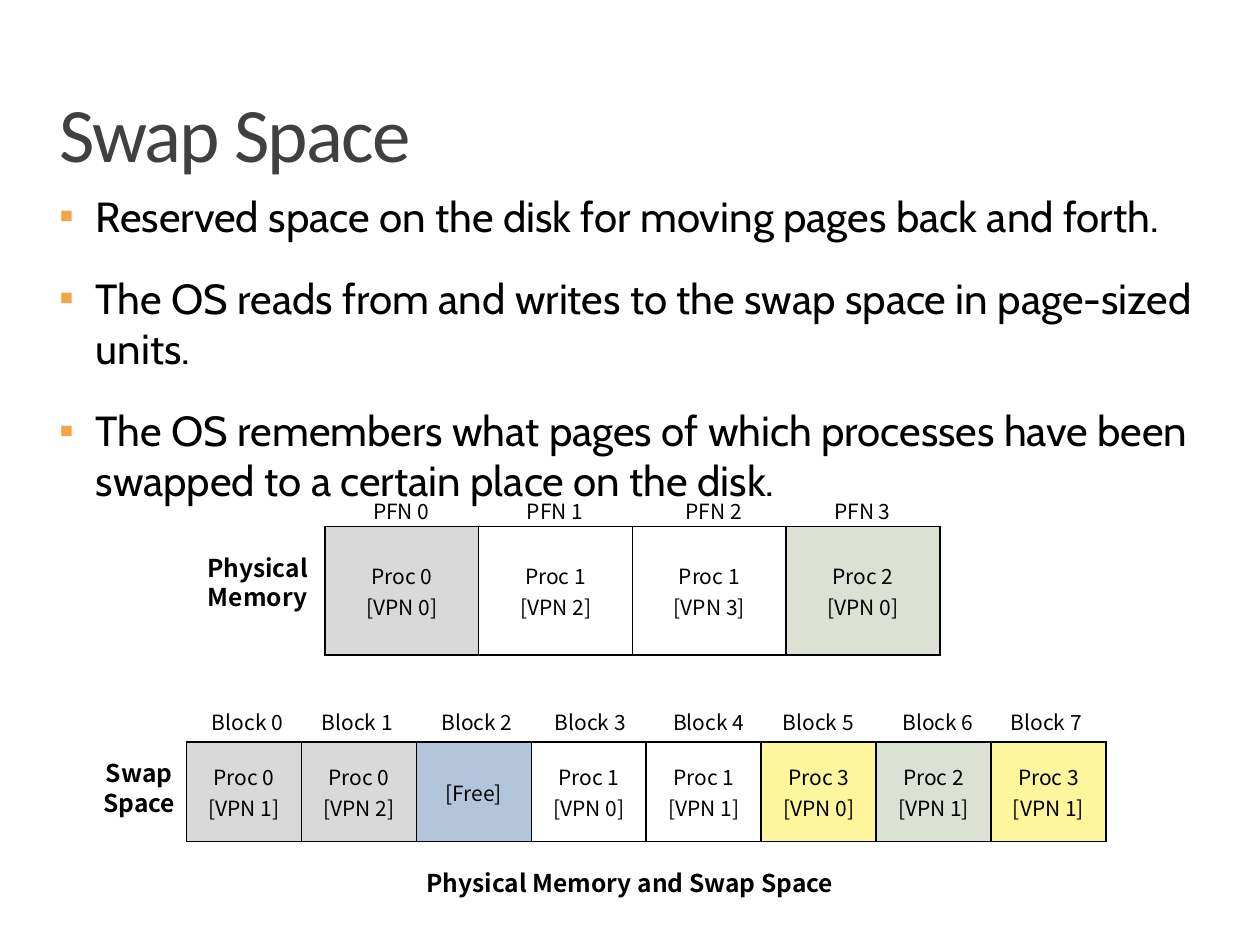
import dataclasses

import lxml.etree
import pptx
import pptx.dml.color
import pptx.enum.text
import pptx.oxml.ns
import pptx.util

PX = 9144  # EMU in one px, at 100 px to the inch
LABEL_WIDTH = 177
LABEL_HEIGHT = 30
SIDE_HEIGHT = 57


@dataclasses.dataclass(frozen=True)
class Theme:
    title: str = "404040"
    ink: str = "000000"
    bullet: str = "F3A447"
    process_0: str = "D9D9D9"
    process_2: str = "DBE1D3"
    process_3: str = "FDF69C"
    free: str = "B3C5DA"
    title_font: str = "Calibri"
    body_font: str = "Cabin"
    diagram_font: str = "Noto Sans CJK KR"
    title_size: int = 44
    body_size: int = 24
    heading_size: int = 14
    label_size: int = 12


THEME = Theme()
PROCESS_FILLS = {
    "Proc 0": THEME.process_0,
    "Proc 2": THEME.process_2,
    "Proc 3": THEME.process_3,
    "[Free]": THEME.free,
}

TITLE = {"name": THEME.title_font, "size": THEME.title_size, "color": THEME.title}
BODY = {"name": THEME.body_font, "size": THEME.body_size, "color": THEME.ink}
LABEL = {"name": THEME.diagram_font, "size": THEME.label_size, "color": THEME.ink}
HEADING = {**LABEL, "size": THEME.heading_size, "bold": True}


def format_font(font, values):
    for name, value in values.items():
        if name == "color":
            font.color.rgb = pptx.dml.color.RGBColor.from_string(value)
        else:
            setattr(font, name, pptx.util.Pt(value) if name == "size" else value)


def write_lines(frame, lines, values, alignment):
    """Write one formatted paragraph for each line and return them."""
    frame.text = "\n".join(lines)
    for paragraph in frame.paragraphs:
        paragraph.alignment = alignment
        for run in paragraph.runs:
            format_font(run.font, values)
    return frame.paragraphs


def place(shape, box):
    for name, value in zip(("left", "top", "width", "height"), box):
        setattr(shape, name, value * PX)


def set_margins(frame, top=0):
    margins = {"margin_left": 0, "margin_top": top, "margin_right": 0, "margin_bottom": 0}
    for name, value in margins.items():
        setattr(frame, name, value * PX)


def add_title(slide, box, text):
    shape = slide.shapes.title
    place(shape, box)
    frame = shape.text_frame
    set_margins(frame, top=4)
    frame.auto_size = pptx.enum.text.MSO_AUTO_SIZE.NONE
    frame.vertical_anchor = pptx.enum.text.MSO_ANCHOR.MIDDLE
    paragraph = write_lines(frame, [text], TITLE, pptx.enum.text.PP_ALIGN.LEFT)[0]
    paragraph.line_spacing = 0.8
    paragraph.runs[0].font._element.set("spc", "-100")


def add_bullet(paragraph, character, color, indent):
    properties = paragraph._p.get_or_add_pPr()
    properties.set("marL", str(indent * PX))
    properties.set("indent", str(-indent * PX))
    qualified = pptx.oxml.ns.qn
    bullet_color = lxml.etree.SubElement(properties, qualified("a:buClr"))
    lxml.etree.SubElement(bullet_color, qualified("a:srgbClr"), val=color)
    lxml.etree.SubElement(properties, qualified("a:buChar"), char=character)


def add_bullet_list(slide, box, lines):
    shape = slide.placeholders[1]
    place(shape, box)
    frame = shape.text_frame
    set_margins(frame)
    frame.auto_size = pptx.enum.text.MSO_AUTO_SIZE.NONE
    paragraphs = write_lines(frame, lines, BODY, pptx.enum.text.PP_ALIGN.LEFT)
    for index, paragraph in enumerate(paragraphs):
        add_bullet(paragraph, "▪", THEME.bullet, 29)
        paragraph.space_before = pptx.util.Pt(18 if index else 0)


def add_label(slide, box, lines, values):
    shape = slide.shapes.add_textbox(*(value * PX for value in box))
    frame = shape.text_frame
    frame.word_wrap = True
    frame.auto_size = pptx.enum.text.MSO_AUTO_SIZE.SHAPE_TO_FIT_TEXT
    write_lines(frame, lines, values, pptx.enum.text.PP_ALIGN.CENTER)


def add_cell_borders(cell):
    """Draw the four sides, which stand before the fill in the cell properties."""
    properties = cell._tc.get_or_add_tcPr()
    qualified = pptx.oxml.ns.qn
    for index, side in enumerate(("lnL", "lnR", "lnT", "lnB")):
        line = lxml.etree.Element(qualified("a:" + side), w=str(pptx.util.Pt(1)))
        fill = lxml.etree.SubElement(line, qualified("a:solidFill"))
        lxml.etree.SubElement(fill, qualified("a:srgbClr"), val=THEME.ink)
        properties.insert(index, line)


def fill_cell(cell, lines):
    cell.vertical_anchor = pptx.enum.text.MSO_ANCHOR.MIDDLE
    write_lines(cell.text_frame, lines, LABEL, pptx.enum.text.PP_ALIGN.CENTER)
    color = PROCESS_FILLS.get(lines[0])
    if color:
        cell.fill.solid()
        cell.fill.fore_color.rgb = pptx.dml.color.RGBColor.from_string(color)
    else:
        cell.fill.background()
    add_cell_borders(cell)


def add_memory_row(slide, box, heading, heading_offset, unit, label_rise, nudges, pages):
    """Draw a row of pages in the box, its heading at an offset and a label over each page.

    The nudges move each label off the middle of its column.
    """
    left, top, width, height = box
    column_width = width / len(pages)
    table = slide.shapes.add_table(1, len(pages), *(value * PX for value in box)).table
    table.first_row = False
    table.horz_banding = False
    for index, (page, nudge) in enumerate(zip(pages, nudges)):
        table.columns[index].width = round(column_width * PX)
        fill_cell(table.cell(0, index), page)
        center = left + column_width * (index + 0.5) + nudge
        label_box = (round(center - LABEL_WIDTH / 2), top - label_rise, LABEL_WIDTH, LABEL_HEIGHT)
        add_label(slide, label_box, [f"{unit} {index}"], LABEL)
    offset_x, offset_y = heading_offset
    heading_box = (left + offset_x, top + offset_y, LABEL_WIDTH, SIDE_HEIGHT)
    add_label(slide, heading_box, heading, HEADING)


def main():
    presentation = pptx.Presentation()
    presentation.slide_width = 1000 * PX
    presentation.slide_height = 750 * PX
    slide = presentation.slides.add_slide(presentation.slide_layouts[1])
    add_title(slide, (47, 70, 906, 79), "Swap Space")
    add_bullet_list(slide, (47, 151, 906, 224), [
        "Reserved space on the disk for moving pages back and forth.",
        "The OS reads from and writes to the swap space in page-sized units.",
        "The OS remembers what pages of which processes have been swapped"
        " to a certain place on the disk.",
    ])
    add_memory_row(
        slide, (258, 418, 488, 102), ["Physical", "Memory"], (-142, 16),
        "PFN", 27, (0, 0, 4, 0),
        [("Proc 0", "[VPN 0]"), ("Proc 1", "[VPN 2]"), ("Proc 1", "[VPN 3]"), ("Proc 2", "[VPN 0]")],
    )
    add_memory_row(
        slide, (148, 589, 730, 79), ["Swap", "Space"], (-126, 8),
        "Block", 31, (3, -1, 2, 1, 4, 0, 3, -2),
        [("Proc 0", "[VPN 1]"), ("Proc 0", "[VPN 2]"), ("[Free]",), ("Proc 1", "[VPN 0]"),
         ("Proc 1", "[VPN 1]"), ("Proc 3", "[VPN 0]"), ("Proc 2", "[VPN 1]"), ("Proc 3", "[VPN 1]")],
    )
    add_label(slide, (305, 684, 390, 34), ["Physical Memory and Swap Space"], HEADING)
    presentation.save("out.pptx")


if __name__ == "__main__":
    main()
